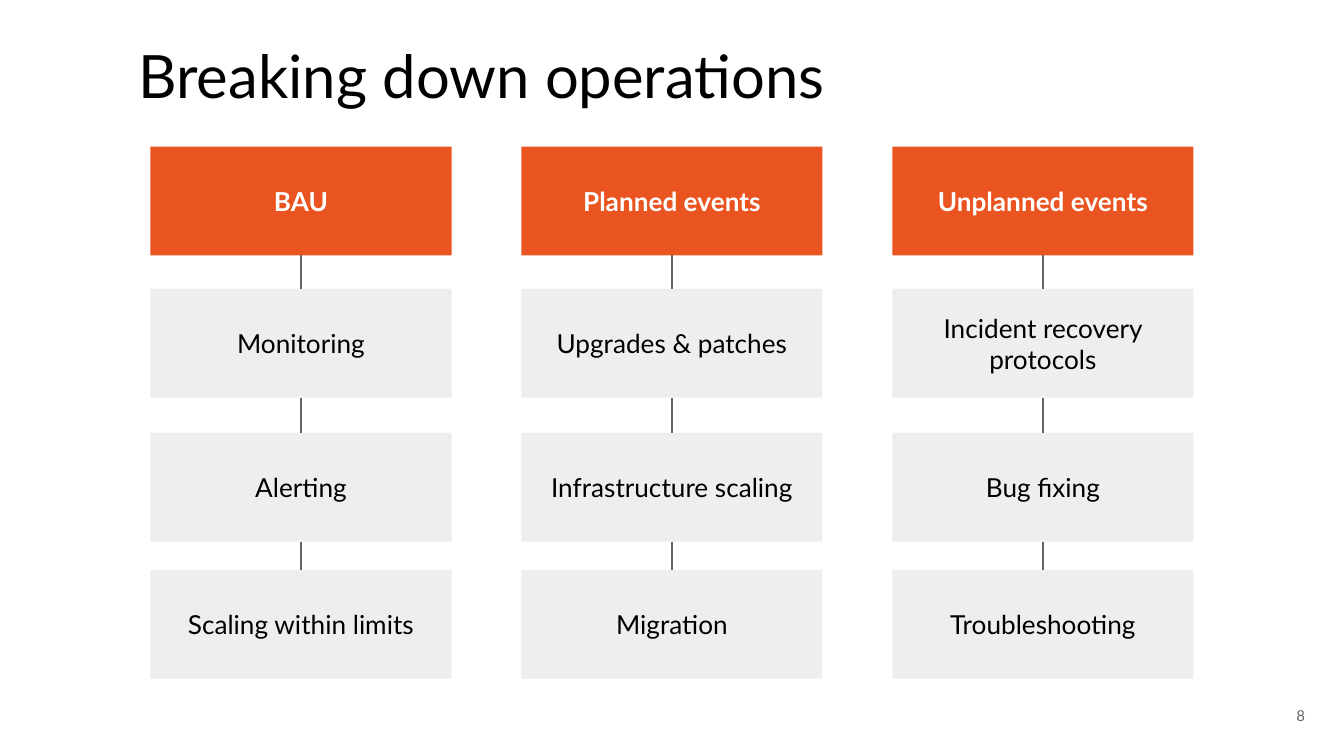
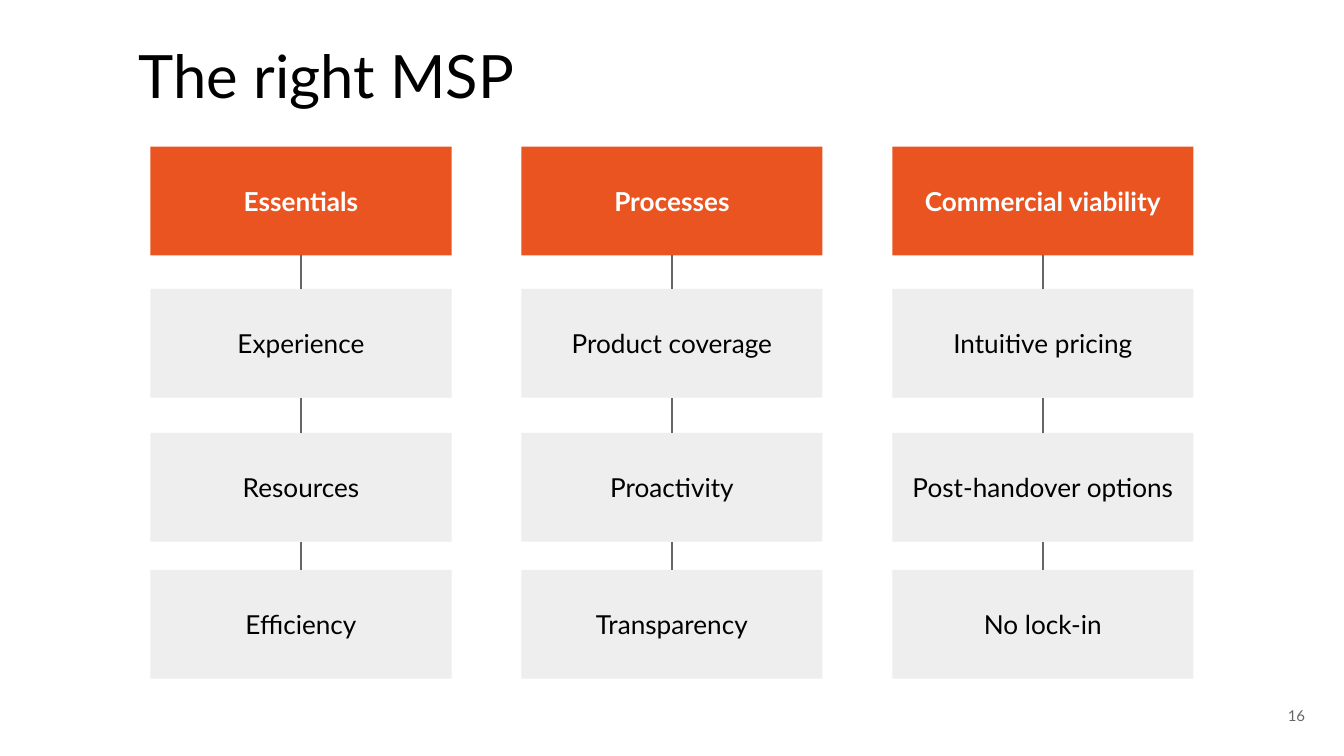
from lxml.etree import SubElement
from pptx import Presentation
from pptx.dml.color import RGBColor
from pptx.enum.shapes import MSO_CONNECTOR, MSO_SHAPE
from pptx.enum.text import MSO_ANCHOR, MSO_AUTO_SIZE, PP_ALIGN
from pptx.oxml.ns import qn
from pptx.util import Inches, Pt

COLORS = {
    "header": "E95420",
    "item": "EEEEEE",
    "muted": "666666",
    "text": "000000",
    "white": "FFFFFF",
}
FONT = "Lato"
TITLE_ONLY = 5

COLUMNS_LEFT = 1.12
COLUMN_PITCH = 2.76
ROW_TOPS = (1.09, 2.15, 3.22, 4.24)
CELL_WIDTH, CELL_HEIGHT = 2.24, 0.81

SLIDES = [
    ("Breaking down operations", "8", [
        ("BAU", "Monitoring", "Alerting", "Scaling within limits"),
        ("Planned events", "Upgrades & patches", "Infrastructure scaling", "Migration"),
        ("Unplanned events", "Incident recovery protocols", "Bug fixing", "Troubleshooting"),
    ]),
    ("The right MSP", "16", [
        ("Essentials", "Experience", "Resources", "Efficiency"),
        ("Processes", "Product coverage", "Proactivity", "Transparency"),
        ("Commercial viability", "Intuitive pricing", "Post-handover options", "No lock-in"),
    ]),
]


def color(name):
    return RGBColor.from_string(COLORS[name])


def write(shape, text, size, color_name, align, anchor=MSO_ANCHOR.TOP, inset=0.1, bold=False):
    frame = shape.text_frame
    frame.text = text
    frame.word_wrap = True
    frame.auto_size = MSO_AUTO_SIZE.NONE
    frame.vertical_anchor = anchor
    frame.margin_left = frame.margin_right = Inches(inset)
    frame.margin_top = frame.margin_bottom = Inches(inset)
    para = frame.paragraphs[0]
    para.alignment = align
    para.font.name = FONT
    para.font.size = Pt(size)
    para.font.bold = bold
    para.font.color.rgb = color(color_name)


def add_title(page, text):
    title = page.shapes.title
    title.left, title.top = Inches(1.03), Inches(0.29)
    title.width, title.height = Inches(6.14), Inches(0.55)
    write(title, text, 32, "text", PP_ALIGN.LEFT, inset=0)


def add_page_number(page, number):
    box = page.shapes.add_textbox(Inches(9.21), Inches(5.16), Inches(0.6), Inches(0.43))
    write(box, number, 8, "muted", PP_ALIGN.RIGHT)


def add_cell(page, left, top, text, is_header):
    cell = page.shapes.add_shape(
        MSO_SHAPE.RECTANGLE, Inches(left), Inches(top), Inches(CELL_WIDTH), Inches(CELL_HEIGHT))
    cell.shadow.inherit = False
    cell.fill.solid()
    cell.fill.fore_color.rgb = color("header" if is_header else "item")
    cell.line.fill.background()
    write(cell, text, 14, "white" if is_header else "text", PP_ALIGN.CENTER,
          anchor=MSO_ANCHOR.MIDDLE, bold=is_header)
    return cell


def join_cells(page, upper, lower):
    """Link the bottom of the upper cell to the top of the lower one."""
    link = page.shapes.add_connector(MSO_CONNECTOR.STRAIGHT, 0, 0, 0, 0)
    link.begin_connect(upper, 2)
    link.end_connect(lower, 0)
    link.line.color.rgb = color("muted")
    link.line.width = Pt(0.75)
    SubElement(link._element.spPr, qn("a:effectLst"))


def add_column(page, left, texts):
    cells = [add_cell(page, left, top, text, is_header=row == 0)
             for row, (top, text) in enumerate(zip(ROW_TOPS, texts))]
    for upper, lower in zip(cells, cells[1:]):
        join_cells(page, upper, lower)


def add_columns_slide(deck, title, number, columns):
    page = deck.slides.add_slide(deck.slide_layouts[TITLE_ONLY])
    add_title(page, title)
    add_page_number(page, number)
    for index, texts in enumerate(columns):
        add_column(page, COLUMNS_LEFT + index * COLUMN_PITCH, texts)


def main():
    deck = Presentation()
    deck.slide_width = Inches(10)
    deck.slide_height = Inches(10) * 9 // 16
    for title, number, columns in SLIDES:
        add_columns_slide(deck, title, number, columns)
    deck.save("out.pptx")


if __name__ == "__main__":
    main()
